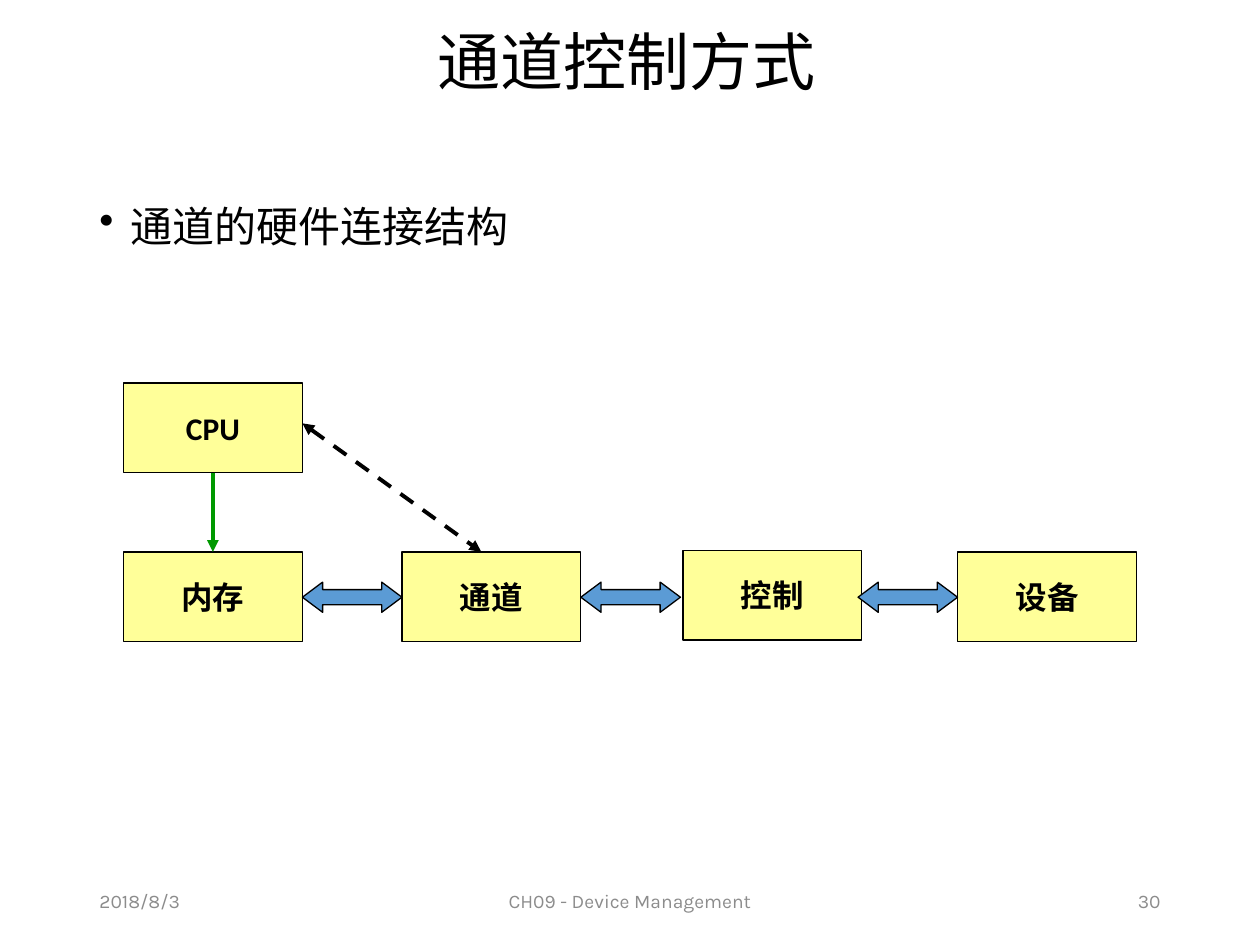
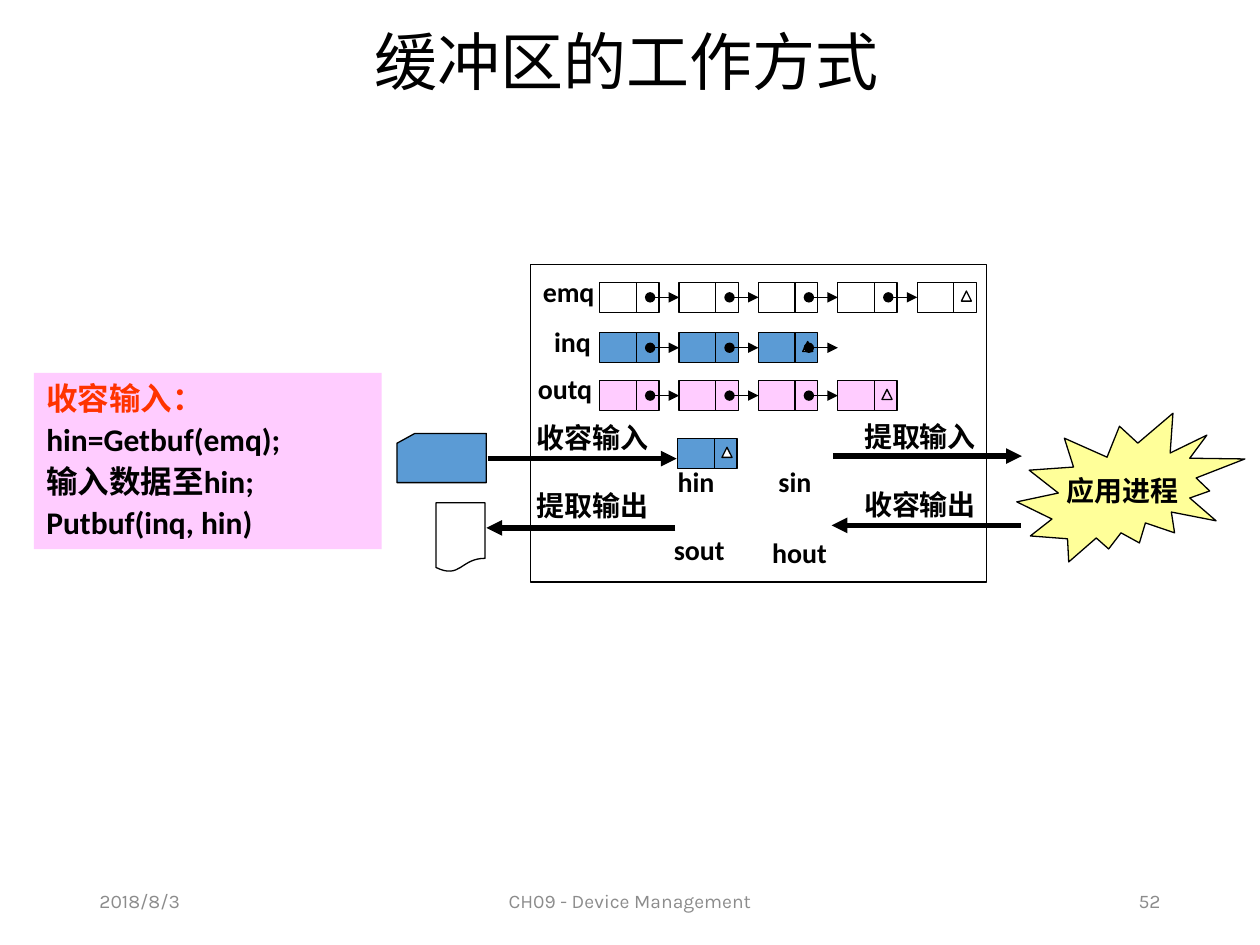
import pptx
import pptx.dml.color
import pptx.enum.dml
import pptx.enum.shapes
import pptx.enum.text
import pptx.oxml
import pptx.oxml.ns
import pptx.util
from lxml import etree
from pptx.util import Inches

SHAPE = pptx.enum.shapes.MSO_SHAPE
ALIGN = pptx.enum.text.PP_ALIGN
ANCHOR = pptx.enum.text.MSO_ANCHOR
qn = pptx.oxml.ns.qn

COLORS = {
    "ink": "000000",
    "gray": "8C8C8C",
    "white": "FFFFFF",
    "yellow": "FFFF99",
    "blue": "5B9BD5",
    "pink": "FFCCFF",
    "green": "009900",
    "red": "FF3300",
}
CJK, LATIN, FOOTER = "Noto Sans CJK SC", "Calibri", "Karla"
DATE, COURSE = "2018/8/3", "CH09 - Device Management"


def rgb(name):
    return pptx.dml.color.RGBColor.from_string(COLORS[name])


class Painter:
    """Holds the shared style and draws on the current slide."""

    def __init__(self):
        self.deck = pptx.Presentation()
        self.deck.slide_width = Inches(10)
        self.deck.slide_height = Inches(7.5)
        self.page = None

    def new_page(self, title, number):
        self.page = self.deck.slides.add_slide(self.deck.slide_layouts[5])
        box = self.page.shapes.title
        box.left, box.top = Inches(0.66), Inches(0.14)
        box.width, box.height = Inches(8.62), Inches(0.76)
        self.fill_text(box, [title], 36, CJK, bold=False, align=ALIGN.CENTER)
        box.text_frame.paragraphs[0].line_spacing = 0.9
        for left, width, text, align in (
            (0.69, 2.25, DATE, ALIGN.LEFT),
            (3.31, 3.38, COURSE, ALIGN.CENTER),
            (7.06, 2.25, str(number), ALIGN.RIGHT),
        ):
            self.text(left, 6.95, width, 0.4, text, 11, FOOTER, "gray",
                      bold=False, align=align, anchor=ANCHOR.MIDDLE)

    def fill_text(self, shape, lines, size, font=LATIN, color="ink", bold=True,
                  align=ALIGN.LEFT, anchor=ANCHOR.MIDDLE, wrap=True):
        frame = shape.text_frame
        frame.text = "\n".join(lines)
        frame.auto_size = pptx.enum.text.MSO_AUTO_SIZE.NONE
        frame.word_wrap = wrap
        frame.vertical_anchor = anchor
        for para in frame.paragraphs:
            para.alignment = align
            para.font.size = pptx.util.Pt(size)
            para.font.name = font
            para.font.bold = bold
            para.font.color.rgb = rgb(color)
            style = para._p.pPr.find(qn("a:defRPr"))
            etree.SubElement(style, qn("a:ea")).set("typeface", CJK)

    def text(self, left, top, width, height, text, size, font=LATIN,
             color="ink", bold=True, align=ALIGN.LEFT, anchor=ANCHOR.TOP):
        box = self.page.shapes.add_textbox(
            Inches(left), Inches(top), Inches(width), Inches(height))
        self.fill_text(box, [text], size, font, color, bold, align, anchor)
        return box

    def label(self, left, top, width, text):
        self.text(left, top, width, 0.37, text, 16)

    def bullet(self, left, top, width, height, text):
        box = self.text(left, top, width, height, text, 24, CJK, bold=False)
        para = box.text_frame.paragraphs[0]
        para.line_spacing = 1.25
        para.space_before = pptx.util.Pt(10)
        layout = para._p.pPr
        layout.set("marL", str(Inches(0.25)))
        layout.set("indent", str(Inches(-0.25)))
        mark = etree.Element(qn("a:buChar"), char="•")
        layout.find(qn("a:defRPr")).addprevious(mark)

    def shape(self, kind, left, top, width, height, fill=None, line="ink"):
        shape = self.page.shapes.add_shape(
            kind, Inches(left), Inches(top), Inches(width), Inches(height))
        shape.shadow.inherit = False
        if fill:
            shape.fill.solid()
            shape.fill.fore_color.rgb = rgb(fill)
        else:
            shape.fill.background()
        if line:
            shape.line.color.rgb = rgb(line)
            shape.line.width = pptx.util.Pt(0.75)
        else:
            shape.line.fill.background()
        return shape

    def node(self, kind, left, top, width, height, text, size):
        shape = self.shape(kind, left, top, width, height, "yellow")
        self.fill_text(shape, [text], size, align=ALIGN.CENTER, wrap=False)
        return shape

    def line(self, start, end, color="ink", weight=0.75, dashed=False,
             head=None, tail=None):
        """Draw a line; head is the mark at its start, tail at its end."""
        line = self.page.shapes.add_connector(
            pptx.enum.shapes.MSO_CONNECTOR.STRAIGHT,
            *map(Inches, start), *map(Inches, end))
        line.line.color.rgb = rgb(color)
        line.line.width = pptx.util.Pt(weight)
        if dashed:
            line.line.dash_style = pptx.enum.dml.MSO_LINE.DASH
        properties = line._element.spPr
        outline = properties.find(qn("a:ln"))
        for tag, mark in (("a:headEnd", head), ("a:tailEnd", tail)):
            if mark:
                etree.SubElement(outline, qn(tag)).set("type", mark)
        etree.SubElement(properties, qn("a:effectLst"))
        return line

    def buffer(self, left, top, fill, end_fill=None):
        """Draw a data cell with a pointer field, marked if it ends a list."""
        cell = self.shape(SHAPE.RECTANGLE, left, top, 0.47, 0.24, fill)
        self.line((left + 0.29, top), (left + 0.29, top + 0.24))
        if end_fill:
            self.shape(SHAPE.ISOSCELES_TRIANGLE, left + 0.35, top + 0.07,
                       0.08, 0.08, end_fill)
        return cell

    def queue(self, left, top, fill, count, end_fill, open_end=False):
        """Draw a linked list of buffers; an open end keeps its last arrow."""
        step = 0.63
        cells = [
            self.buffer(left + step * i, top, fill,
                        end_fill if i == count - 1 else None)
            for i in range(count)
        ]
        middle = top + 0.12
        for i in range(count if open_end else count - 1):
            x = left + step * i
            link = self.line((x + 0.4, middle), (x + step, middle),
                             head="oval", tail="triangle")
            if i + 1 < count:
                link.end_connect(cells[i + 1], 1)


def channel_page(painter):
    painter.new_page("通道控制方式", 30)
    painter.bullet(0.69, 1.44, 8.62, 5.38, "通道的硬件连接结构")
    units = {
        name: painter.node(SHAPE.RECTANGLE, left, top, 1.42, 0.71, name, 18)
        for name, left, top in (
            ("CPU", 0.98, 3.04), ("内存", 0.98, 4.38), ("通道", 3.19, 4.38),
            ("控制", 5.42, 4.37), ("设备", 7.6, 4.38))
    }
    for left in (2.4, 4.61, 6.81):
        arrow = painter.shape(SHAPE.LEFT_RIGHT_ARROW, left, 4.62, 0.79, 0.24,
                              "blue")
        arrow.adjustments[1] = 0.67
    access = painter.line((1.69, 3.75), (1.69, 4.38), "green", 2.25,
                          tail="triangle")
    access.begin_connect(units["CPU"], 2)
    access.end_connect(units["内存"], 0)
    painter.line((2.4, 3.36), (3.82, 4.38), weight=2.25, dashed=True,
                 head="triangle", tail="triangle")


def buffer_page(painter):
    painter.new_page("缓冲区的工作方式", 52)
    steps = painter.shape(SHAPE.RECTANGLE, 0.27, 2.96, 2.76, 1.4, "pink", None)
    painter.fill_text(
        steps,
        ["收容输入：", "hin=Getbuf(emq);", "输入数据至hin;", "Putbuf(inq, hin)"],
        18, anchor=ANCHOR.TOP)
    for para in steps.text_frame.paragraphs:
        para.space_before = pptx.util.Pt(2)
    steps.text_frame.paragraphs[0].font.color.rgb = rgb("red")

    painter.node(SHAPE.EXPLOSION2, 8.07, 3.28, 1.81, 1.18, "应用进程", 16)
    painter.shape(SHAPE.RECTANGLE, 4.21, 2.1, 3.62, 2.52)
    painter.queue(4.76, 2.24, "white", 5, "white")
    painter.queue(4.76, 2.64, "blue", 3, "white", open_end=True)
    painter.queue(4.76, 3.02, "pink", 4, "pink")
    painter.buffer(5.38, 3.48, "blue", "white")

    for left, top, width, text in (
        (4.21, 2.13, 0.63, "emq"), (4.3, 2.53, 0.63, "inq"),
        (4.17, 2.9, 0.71, "outq"), (5.28, 3.64, 0.55, "hin"),
        (6.08, 3.64, 0.55, "sin"), (6.03, 4.2, 0.71, "hout"),
        (5.25, 4.18, 0.63, "sout"),
    ):
        painter.label(left, top, width, text)

    for start, end, y, left, top, text in (
        (3.87, 5.37, 3.64, 4.16, 3.29, "收容输入"),
        (6.61, 8.11, 3.62, 6.76, 3.28, "提取输入"),
        (5.36, 3.86, 4.19, 4.16, 3.83, "提取输出"),
        (8.1, 6.6, 4.17, 6.76, 3.82, "收容输出"),
    ):
        painter.line((start, y), (end, y), weight=3, tail="triangle")
        painter.label(left, top, 1.18, text)

    painter.shape(SHAPE.FLOWCHART_CARD, 3.15, 3.44, 0.71, 0.39, "blue")
    painter.shape(SHAPE.FLOWCHART_DOCUMENT, 3.46, 3.99, 0.39, 0.55, "white")


def main():
    painter = Painter()
    channel_page(painter)
    buffer_page(painter)
    painter.deck.save("out.pptx")


if __name__ == "__main__":
    main()
